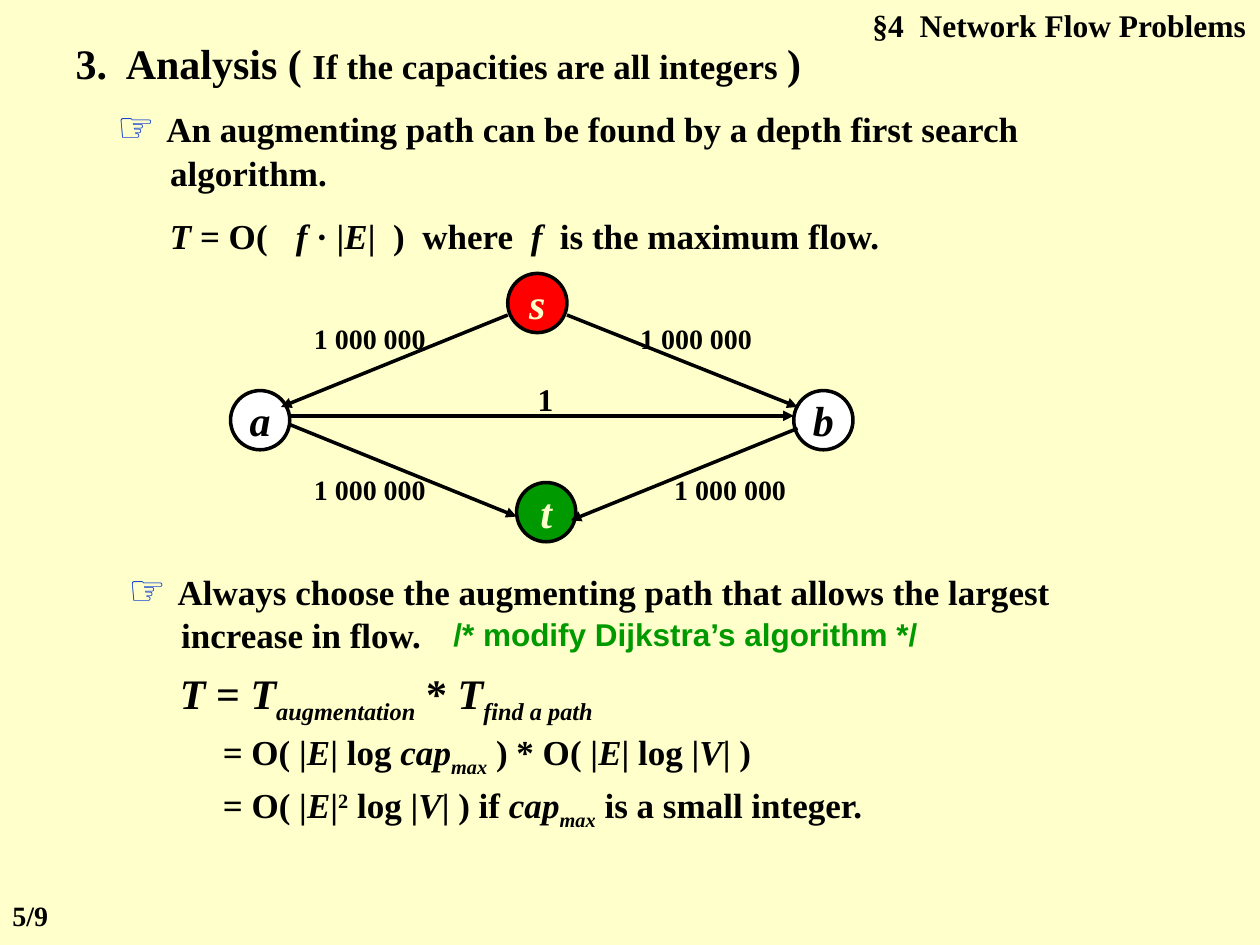
from dataclasses import dataclass
from typing import NamedTuple

from lxml import etree
from pptx import Presentation, util as u
from pptx.dml.color import RGBColor
from pptx.enum import shapes as kinds, text as t
from pptx.oxml import ns


@dataclass(frozen=True)
class Theme:
    paper: str = "FFFFCC"
    ink: str = "000000"
    pointer: str = "0033CC"
    source: str = "FF0000"
    green: str = "009900"
    white: str = "FFFFFF"
    serif: str = "Times New Roman"
    sans: str = "Arial"
    large: float = 24
    body: float = 20
    note: float = 18
    label: float = 16
    line: float = 2


THEME = Theme()


class Run(NamedTuple):
    text: str
    italic: bool = False
    baseline: int = 0
    size: float | None = None
    font: str | None = None
    color: str | None = None


class Box(NamedTuple):
    left: float
    top: float
    width: float
    height: float


class Node(NamedTuple):
    name: str
    left: float
    top: float
    fill: str
    color: str = THEME.ink


class Edge(NamedTuple):
    start: tuple[float, float]
    end: tuple[float, float]


NODE_SIZE = 0.47
NODES = [
    Node("s", 4.03, 2.17, THEME.source, THEME.paper),
    Node("t", 4.1, 3.83, THEME.green, THEME.paper),
    Node("a", 1.83, 3.1, THEME.white),
    Node("b", 6.3, 3.1, THEME.white),
]
EDGES = [
    Edge((4.03, 2.5), (2.23, 3.23)),
    Edge((4.5, 2.5), (6.33, 3.23)),
    Edge((2.3, 3.37), (4.1, 4.1)),
    Edge((6.33, 3.4), (4.53, 4.13)),
    Edge((2.3, 3.3), (6.3, 3.3)),
]
CAPACITY_CORNERS = [(2.37, 2.5), (4.96, 2.5), (2.37, 3.7), (5.23, 3.7)]


def color_of(value: str) -> RGBColor:
    return RGBColor.from_string(value)


def italic(text: str) -> Run:
    return Run(text, italic=True)


def subscript(text: str) -> Run:
    return Run(text, italic=True, baseline=-25)


def pointed(text: str) -> list[Run]:
    """Runs of a statement that opens with a pointing hand."""
    return [Run("☞ ", size=THEME.large, font=THEME.sans, color=THEME.pointer), Run(text)]


def write(shape, content: str | list[str | Run], *, size: float = THEME.body,
          font: str = THEME.serif, color: str = THEME.ink,
          align=t.PP_ALIGN.LEFT, anchor=t.MSO_ANCHOR.TOP, wrap: bool = True,
          hanging: float = 0) -> None:
    """Fill a shape with one bold paragraph; plain strings take the default format."""
    frame = shape.text_frame
    frame.word_wrap = wrap
    frame.auto_size = t.MSO_AUTO_SIZE.NONE
    frame.vertical_anchor = anchor
    paragraph = frame.paragraphs[0]
    paragraph.alignment = align
    paragraph.space_before = u.Pt(0)
    properties = paragraph._p.get_or_add_pPr()
    properties.set("marL", str(u.Inches(hanging)))
    properties.set("indent", str(u.Inches(-hanging)))
    etree.SubElement(properties, ns.qn("a:buNone"))
    for item in [content] if isinstance(content, str) else content:
        part = Run(item) if isinstance(item, str) else item
        run = paragraph.add_run()
        run.text = part.text
        run.font.size = u.Pt(part.size or size)
        run.font.name = part.font or font
        run.font.color.rgb = color_of(part.color or color)
        run.font.bold = True
        run.font.italic = part.italic
        if part.baseline:
            run._r.get_or_add_rPr().set("baseline", str(part.baseline * 1000))


def add_text(shapes, box: Box, content: str | list[str | Run], **style) -> None:
    write(shapes.add_textbox(*map(u.Inches, box)), content, **style)


def fill_placeholder(placeholder, box: Box, content: str | list[str | Run], **style) -> None:
    placeholder.left, placeholder.top, placeholder.width, placeholder.height = map(u.Inches, box)
    write(placeholder, content, **style)


def add_node(shapes, node: Node) -> None:
    box = Box(node.left, node.top, NODE_SIZE, NODE_SIZE)
    shape = shapes.add_shape(kinds.MSO_SHAPE.OVAL, *map(u.Inches, box))
    shape.shadow.inherit = False
    shape.fill.solid()
    shape.fill.fore_color.rgb = color_of(node.fill)
    shape.line.color.rgb = color_of(THEME.ink)
    shape.line.width = u.Pt(THEME.line)
    write(shape, [italic(node.name)], size=THEME.large, color=node.color,
          align=t.PP_ALIGN.CENTER, anchor=t.MSO_ANCHOR.MIDDLE, wrap=False)


def add_edge(shapes, edge: Edge) -> None:
    connector = shapes.add_connector(kinds.MSO_CONNECTOR.STRAIGHT,
                                     *map(u.Inches, edge.start + edge.end))
    connector.line.color.rgb = color_of(THEME.ink)
    connector.line.width = u.Pt(THEME.line)
    etree.SubElement(connector.line._get_or_add_ln(), ns.qn("a:tailEnd"), type="triangle")
    etree.SubElement(connector._element.spPr, ns.qn("a:effectLst"))


def add_network(slide) -> None:
    shapes = slide.shapes.add_group_shape().shapes
    for node in NODES:
        add_node(shapes, node)
    for edge in EDGES:
        add_edge(shapes, edge)
    for left, top in CAPACITY_CORNERS:
        add_text(shapes, Box(left, top, 1.13, 0.37), "1 000 000",
                 size=THEME.label, align=t.PP_ALIGN.CENTER)
    add_text(shapes, Box(4.03, 2.97, 0.6, 0.4), "1",
             size=THEME.note, align=t.PP_ALIGN.CENTER)


def main() -> None:
    presentation = Presentation()
    presentation.slide_width, presentation.slide_height = u.Inches(10), u.Inches(7.5)
    slide = presentation.slides.add_slide(presentation.slide_layouts[1])
    slide.background.fill.solid()
    slide.background.fill.fore_color.rgb = color_of(THEME.paper)
    shapes = slide.shapes

    fill_placeholder(shapes.title, Box(0.5, 0.25, 6.25, 0.5),
                     ["3.  Analysis ( ",
                      Run("If the capacities are all integers ", size=THEME.body), ")"],
                     size=THEME.large)
    fill_placeholder(slide.placeholders[1], Box(0.83, 0.75, 8.17, 0.84),
                     pointed("An augmenting path can be found by a depth first search algorithm."),
                     hanging=0.42)
    add_text(shapes, Box(6.58, 0, 3.41, 0.4), "§4  Network Flow Problems",
             size=THEME.note, align=t.PP_ALIGN.RIGHT)
    add_text(shapes, Box(1.25, 1.65, 6.17, 0.44),
             [italic("T"), " = O(\t", italic("f"), " · |", italic("E"), "|  )  where  ",
              italic("f"), "  is the maximum flow."])

    add_network(slide)

    add_text(shapes, Box(0.92, 4.42, 8.17, 0.84),
             pointed("Always choose the augmenting path that allows the largest increase in flow."),
             hanging=0.42)
    add_text(shapes, Box(3.5, 4.83, 4.17, 0.4), "/* modify Dijkstra’s algorithm */",
             size=THEME.note, font=THEME.sans, color=THEME.green)
    add_text(shapes, Box(1.33, 5.25, 4.25, 0.56),
             [italic("T"), " = ", italic("T"), subscript("augmentation"), " * ",
              italic("T"), subscript("find a path")], size=THEME.large)
    add_text(shapes, Box(1.67, 5.75, 5.33, 0.48),
             ["= O( |", italic("E"), "| log ", italic("cap"), subscript("max"), " ) * O( |",
              italic("E"), "| log |", italic("V"), "| )"])
    add_text(shapes, Box(1.67, 6.17, 6.58, 0.48),
             ["= O( |", italic("E"), "|", Run("2", baseline=30), " log |", italic("V"),
              "| ) if ", italic("cap"), subscript("max"), " is a small integer."])
    add_text(shapes, Box(0, 7.08, 0.83, 0.37), "5/9", size=THEME.label)

    presentation.save("out.pptx")


if __name__ == "__main__":
    main()
